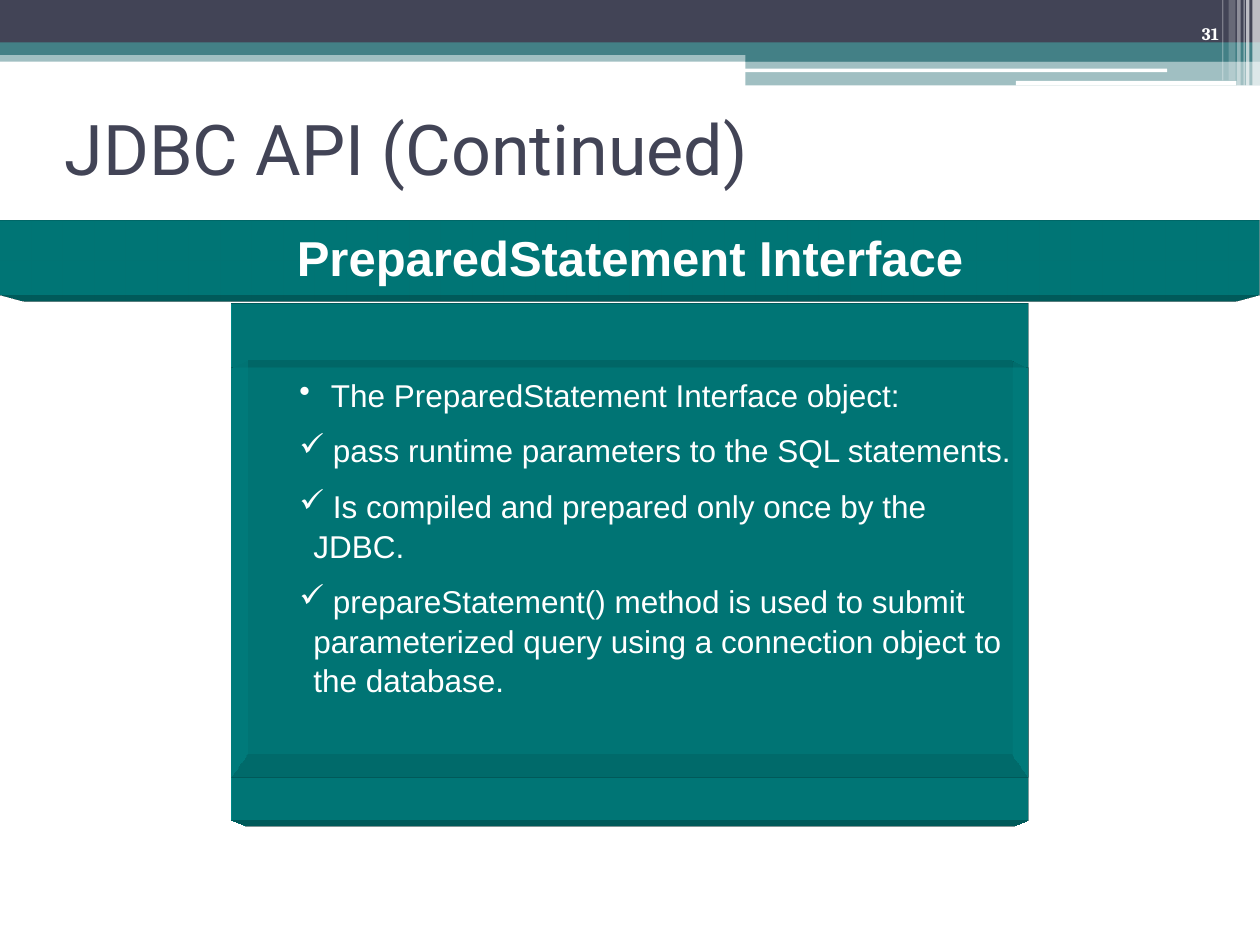
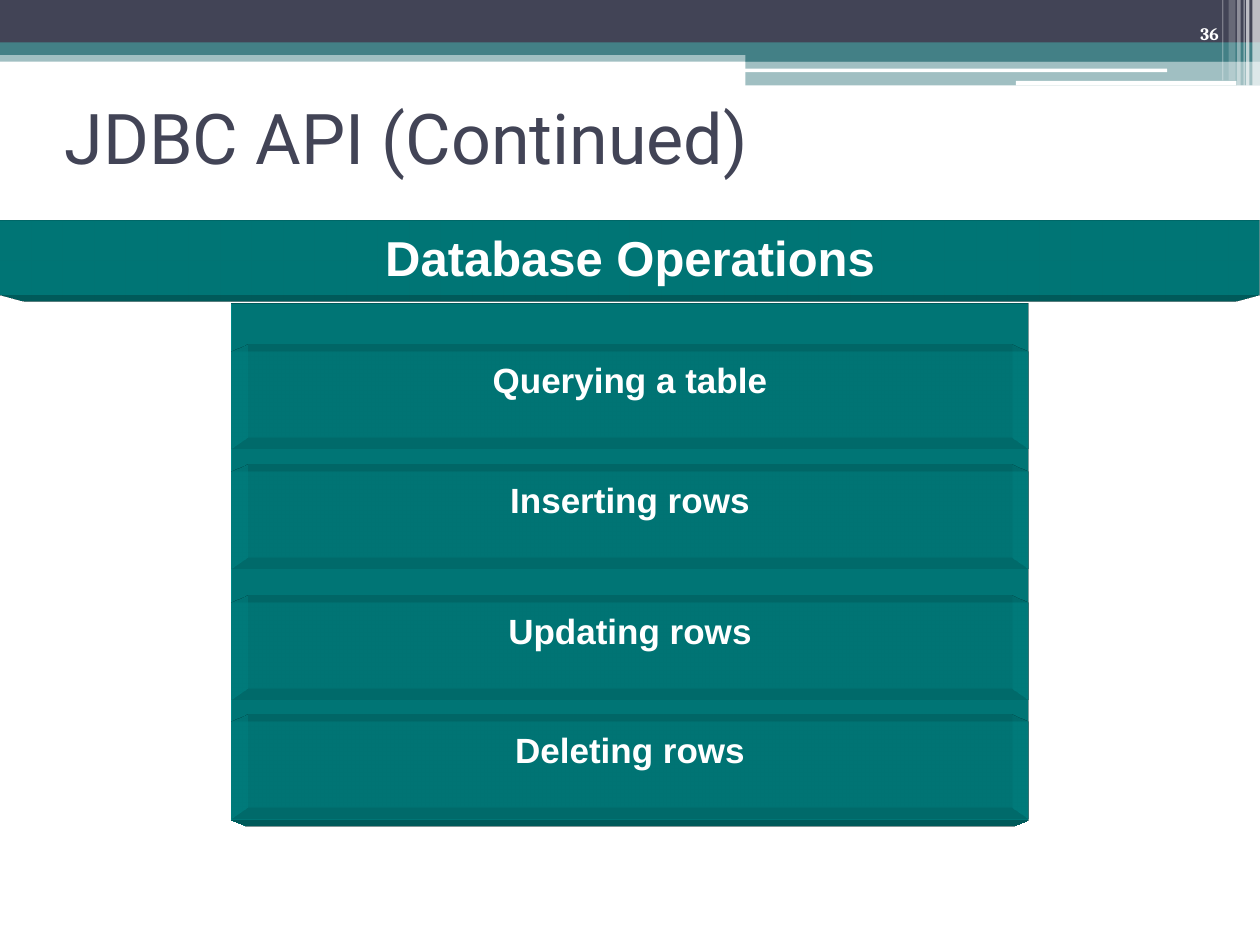
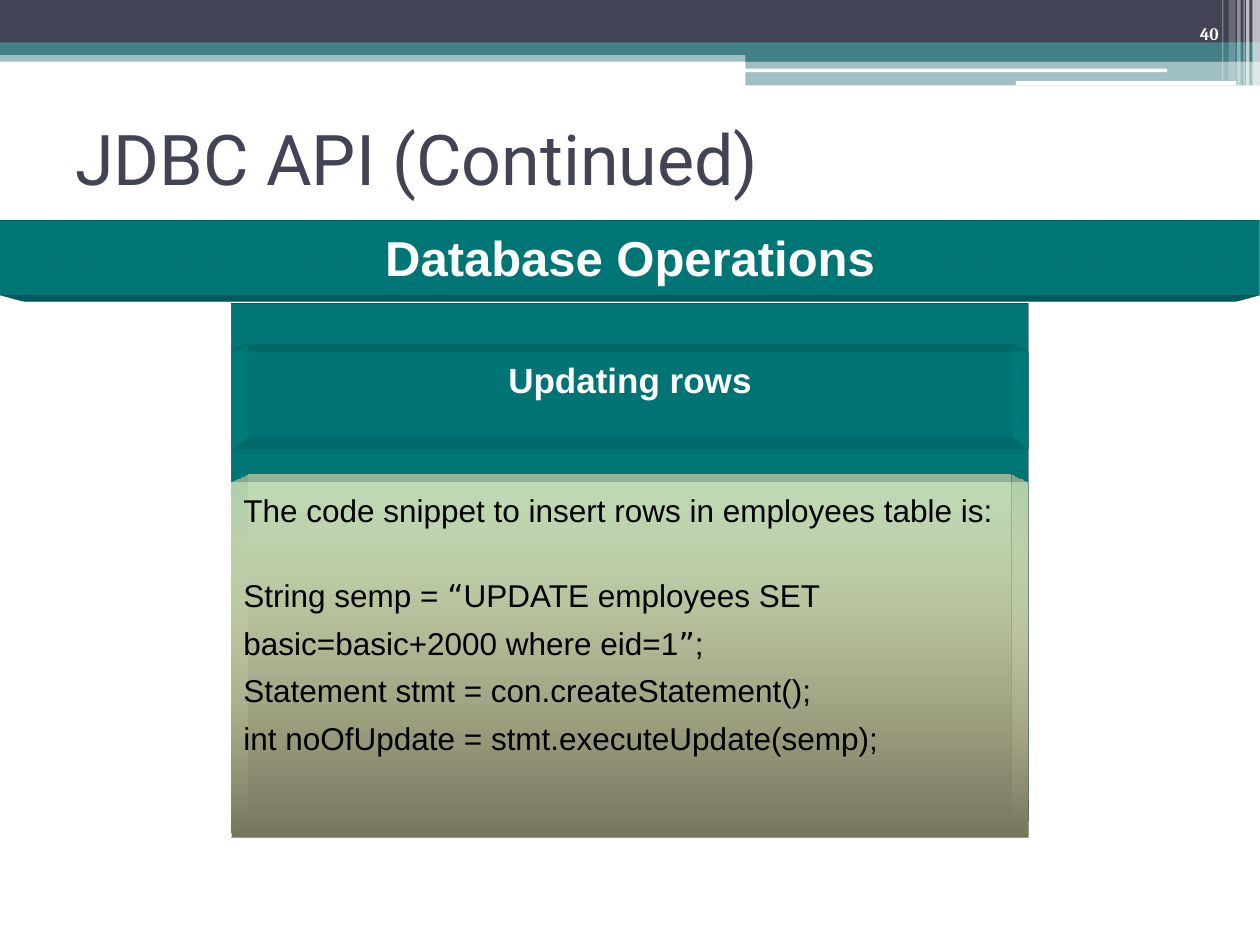
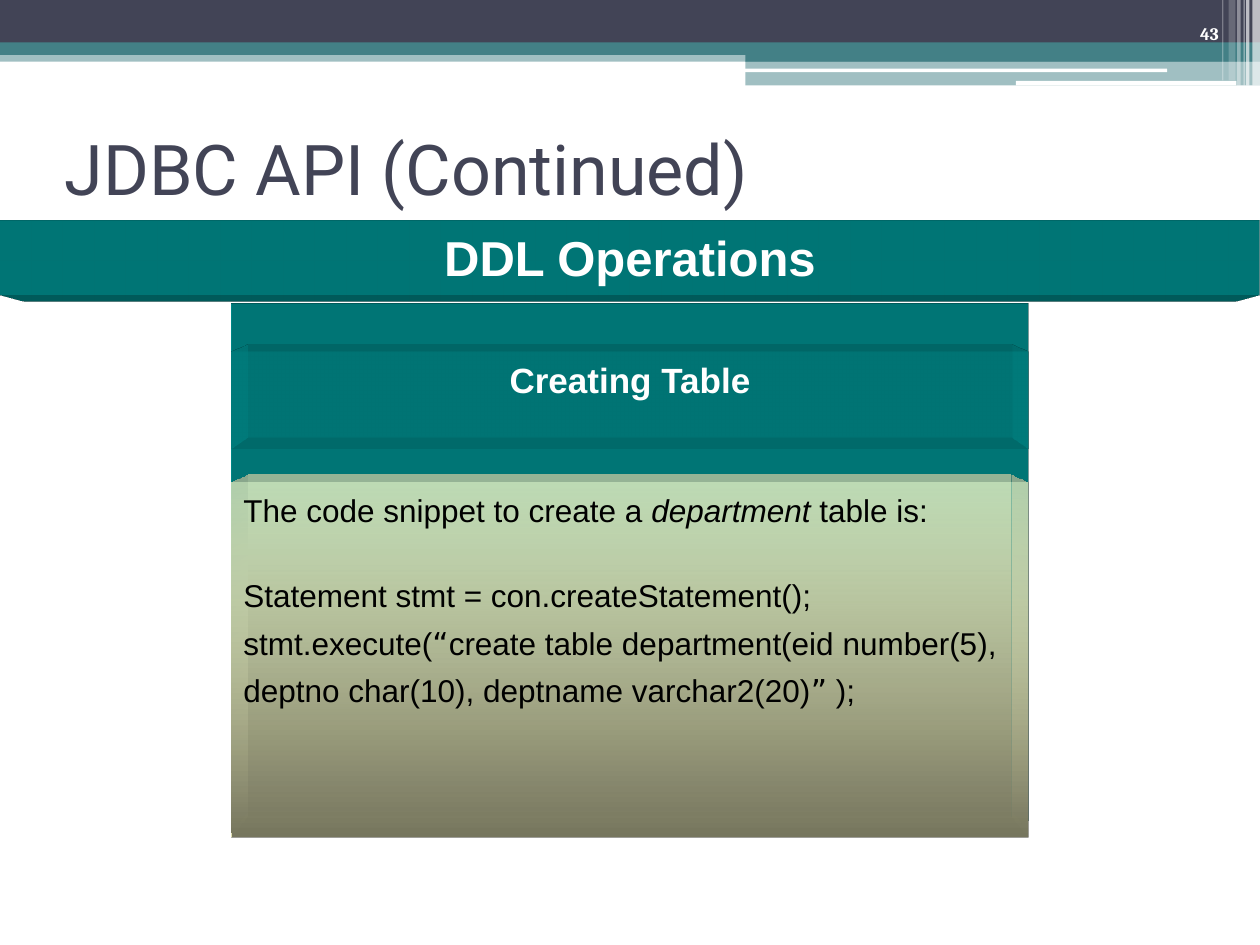
from collections import namedtuple

from lxml.etree import SubElement
from pptx import Presentation
from pptx.dml.color import RGBColor
from pptx.enum.shapes import MSO_SHAPE
from pptx.enum.text import MSO_ANCHOR, PP_ALIGN
from pptx.oxml import parse_xml
from pptx.oxml.ns import nsdecls, qn
from pptx.util import Pt

Box = namedtuple("Box", "left top width height")

COLOURS = {
    "navy": "424456",
    "sea": "438086",
    "teal": "009999",
    "cream": "FFFFCC",
    "olive": "76765E",
    "white": "FFFFFF",
    "black": "000000",
}
FORMATS = {
    "title": {"size": Pt(40), "name": "Roboto"},
    "number": {"size": Pt(10), "name": "Cambria", "bold": True},
    "banner": {"size": Pt(28), "name": "Arial", "bold": True},
    "bar": {"size": Pt(20), "name": "Arial", "bold": True},
    "body": {"size": Pt(18), "name": "Arial"},
    "quote": {"size": Pt(18), "name": "DejaVu Sans"},
    "italic": {"size": Pt(18), "name": "Arial", "italic": True},
}
SLIDE = Box(0, 0, 720, 540)
HEADER = Box(0, 0, 720, 49)
BANNER = Box(0, 126, 720, 42)
PANEL = Box(132, 173.75, 456, 294)
BAR_HEIGHT = 55
FIRST_BAR = 27.75
TITLE = "JDBC API (Continued)"

BANDS = [
    (0, 28.8, 720, 6.5, "sea", 50),
    (0, 0, 720, 24.5, "navy", 100),
    (0, 24.2, 720, 7.2, "sea", 100),
    (426, 28, 294, 7.2, "sea", 100),
    (426, 34.6, 294, 14.2, "sea", 50),
]
PILLS = [(425.5, 39.2, 241.5, 2), (580.5, 46.2, 126, 2.6)]
STRIPES = [
    (715.7, 4.3, 49, 65),
    (712, 2, 49, 65),
    (710.6, 0.7, 49, 60),
    (707, 2, 49, 40),
    (702, 4, 46, 20),
    (698.4, 0.7, 46, 30),
]


def colour(name):
    return RGBColor.from_string(COLOURS[name])


def inside(outer, left, top, width, height):
    return Box(outer.left + left, outer.top + top, width, height)


def set_format(target, values):
    for key, value in values.items():
        setattr(target, key, value)


def set_alpha(element, percent):
    if percent < 100:
        SubElement(element, qn("a:alpha"), val=str(percent * 1000))


def add_block(shapes, box, fill, opacity=100, kind=MSO_SHAPE.RECTANGLE):
    shape = shapes.add_shape(kind, *map(Pt, box))
    shape.shadow.inherit = False
    shape.fill.solid()
    shape.fill.fore_color.rgb = colour(fill)
    set_alpha(next(shape._element.spPr.iter(qn("a:srgbClr"))), opacity)
    shape.line.fill.background()
    return shape


def extrude(shape, side, depth_colour):
    properties = shape._element.spPr
    properties.append(parse_xml(
        f'<a:scene3d {nsdecls("a")}><a:camera prst="legacyPerspective{side}"/>'
        '<a:lightRig rig="legacyFlat3" dir="b"/></a:scene3d>'))
    properties.append(parse_xml(
        f'<a:sp3d {nsdecls("a")} extrusionH="430200" prstMaterial="legacyMatte">'
        '<a:bevelT w="13500" h="13500" prst="angle"/>'
        '<a:bevelB w="13500" h="13500" prst="angle"/>'
        f'<a:extrusionClr><a:srgbClr val="{COLOURS[depth_colour]}"/>'
        '</a:extrusionClr></a:sp3d>'))


def add_span(para, text, style, tint):
    span = para.add_run()
    span.text = text
    set_format(span.font, FORMATS[style])
    span.font.color.rgb = colour(tint)


def write_line(shape, text, style, tint, align, anchor, wrap=True):
    frame = shape.text_frame
    set_format(frame, {"word_wrap": wrap, "vertical_anchor": anchor})
    para = frame.paragraphs[0]
    para.alignment = align
    add_span(para, text, style, tint)


def next_para(frame, index):
    return frame.add_paragraph() if index else frame.paragraphs[0]


def add_header(page, box, number):
    for *place, fill, opacity in BANDS:
        add_block(page.shapes, inside(box, *place), fill, opacity)
    for place in PILLS:
        add_block(page.shapes, inside(box, *place), "white",
                  kind=MSO_SHAPE.ROUNDED_RECTANGLE)
    for left, width, height, opacity in STRIPES:
        add_block(page.shapes, inside(box, left, 0, width, height), "white", opacity)
    label = page.shapes.add_textbox(*map(Pt, inside(box, 643.7, 0, 59.8, 28.8)))
    write_line(label, str(number), "number", "white", PP_ALIGN.RIGHT, MSO_ANCHOR.BOTTOM)


def add_title(page, box):
    title = page.shapes.add_textbox(*map(Pt, box))
    write_line(title, TITLE, "title", "navy", PP_ALIGN.LEFT, MSO_ANCHOR.MIDDLE)


def add_banner(page, box, text):
    banner = add_block(page.shapes, box, "teal")
    extrude(banner, "Bottom", "teal")
    write_line(banner, text, "banner", "white", PP_ALIGN.CENTER, MSO_ANCHOR.MIDDLE, False)


def add_panel(shapes, box):
    extrude(add_block(shapes, box, "teal"), "Bottom", "teal")


def add_bar(shapes, panel, offset, text):
    bar = add_block(shapes, inside(panel, 0, offset, panel.width, BAR_HEIGHT), "teal", 60)
    extrude(bar, "Top", "teal")
    write_line(bar, text, "bar", "white", PP_ALIGN.CENTER, MSO_ANCHOR.TOP, False)


def add_bullets(page, panel, items):
    box = inside(panel, 0, 36.5, panel.width, 234)
    shape = add_block(page.shapes, box, "teal", 60)
    extrude(shape, "Top", "teal")
    frame = shape.text_frame
    set_format(frame, {"word_wrap": True, "vertical_anchor": MSO_ANCHOR.TOP})
    for index, (mark, margin, indent, text) in enumerate(items):
        para = next_para(frame, index)
        properties = para._p.get_or_add_pPr()
        properties.set("marL", str(Pt(margin)))
        properties.set("indent", str(Pt(indent)))
        SubElement(properties, qn("a:buChar"), char=mark)
        set_format(para, {"alignment": PP_ALIGN.LEFT, "line_spacing": 1.05})
        if index:
            para.space_before = Pt(9)
        add_span(para, text, "body", "white")


def add_code(page, panel, lines):
    box = inside(panel, 0, 102, panel.width, 203)
    shape = add_block(page.shapes, box, "cream")
    shape.fill.gradient()
    shape.fill.gradient_angle = 270
    for stop, name, opacity in zip(shape.fill.gradient_stops, ("cream", "olive"), (50, 100)):
        stop.color.rgb = colour(name)
        set_alpha(stop._gs.find(qn("a:srgbClr")), opacity)
    extrude(shape, "Top", "cream")
    frame = shape.text_frame
    set_format(frame, {"word_wrap": False, "vertical_anchor": MSO_ANCHOR.TOP})
    for index, spans in enumerate(lines):
        para = next_para(frame, index)
        set_format(para, {"alignment": PP_ALIGN.LEFT, "line_spacing": 1.05})
        if index:
            para.space_before = Pt(26.2 if index == 1 else 4.5)
        for text, style in spans:
            add_span(para, text, style, "black")


def start_page(deck, number, title_left, title_top, banner):
    page = deck.slides.add_slide(deck.slide_layouts[6])
    add_header(page, HEADER, number)
    add_title(page, Box(title_left, title_top, 648, 84))
    add_banner(page, BANNER, banner)
    return page


def bullet_page(deck, number, title_left, title_top, banner, items):
    page = start_page(deck, number, title_left, title_top, banner)
    add_panel(page.shapes, PANEL)
    add_bullets(page, PANEL, items)


def bar_page(deck, number, title_left, title_top, banner, bars):
    page = start_page(deck, number, title_left, title_top, banner)
    group = page.shapes.add_group_shape()
    add_panel(group.shapes, PANEL)
    for offset, text in bars:
        add_bar(group.shapes, PANEL, offset, text)


def code_page(deck, number, title_left, title_top, banner, heading, lines):
    page = start_page(deck, number, title_left, title_top, banner)
    add_panel(page.shapes, PANEL)
    add_bar(page.shapes, PANEL, FIRST_BAR, heading)
    add_code(page, PANEL, lines)


def main():
    deck = Presentation()
    deck.slide_width, deck.slide_height = Pt(SLIDE.width), Pt(SLIDE.height)
    bullet_page(deck, 31, 30, 42, "PreparedStatement Interface", [
        ("•", 50, -18, "The PreparedStatement Interface object:"),
        ("✓", 40, -8, " pass runtime parameters to the SQL statements."),
        ("✓", 40, -8, " Is compiled and prepared only once by the JDBC."),
        ("✓", 40, -8, " prepareStatement() method is used to submit parameterized "
                      "query using a connection object to the database."),
    ])
    bar_page(deck, 36, 30, 36, "Database Operations", [
        (FIRST_BAR, "Querying a table"),
        (96, "Inserting rows"),
        (171, "Updating rows"),
        (239.25, "Deleting rows"),
    ])
    code_page(deck, 40, 36, 48, "Database Operations", "Updating rows", [
        [("The code snippet to insert rows in employees table is:", "body")],
        [("String semp = ", "body"), ("“", "quote"), ("UPDATE employees SET", "body")],
        [("basic=basic+2000 where eid=1", "body"), ("”", "quote"), (";", "body")],
        [("Statement stmt = con.createStatement();", "body")],
        [("int noOfUpdate = stmt.executeUpdate(semp);", "body")],
    ])
    code_page(deck, 43, 30, 54, "DDL Operations", "Creating Table", [
        [("The code snippet to create a ", "body"), ("department", "italic"),
         (" table is:", "body")],
        [("Statement stmt = con.createStatement();", "body")],
        [("stmt.execute(", "body"), ("“", "quote"),
         ("create table department(eid number(5),", "body")],
        [("deptno char(10), deptname varchar2(20)", "body"), ("”", "quote"),
         (" );", "body")],
    ])
    deck.save("out.pptx")


if __name__ == "__main__":
    main()
